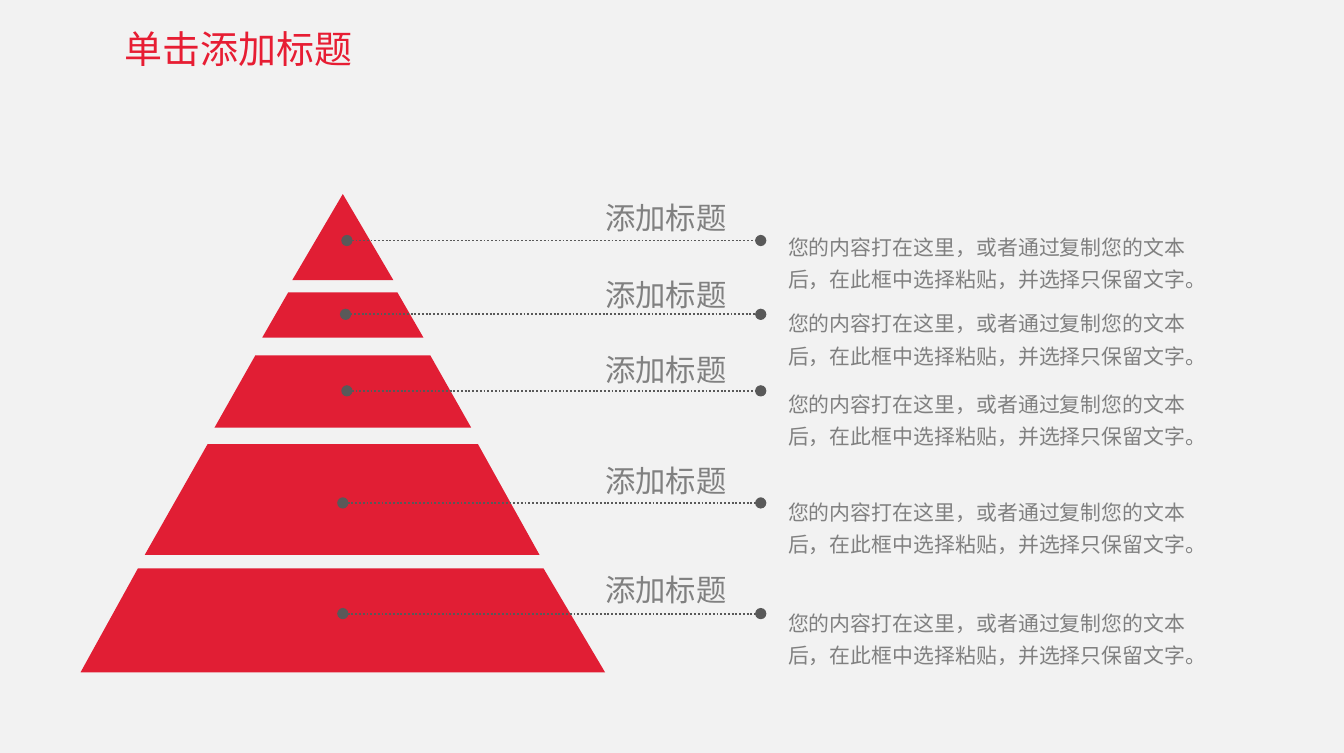
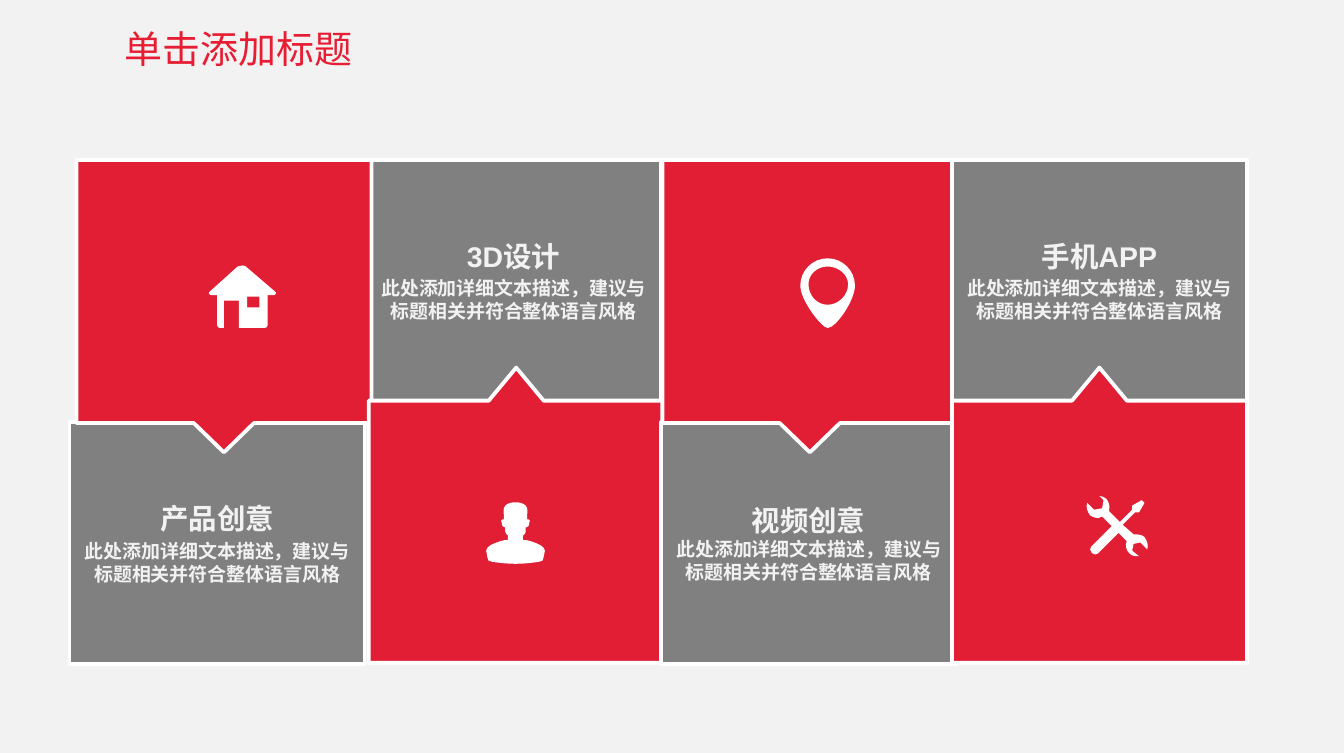
from lxml import etree
from pptx import Presentation
from pptx.dml.color import RGBColor
from pptx.enum import dml, shapes, text
from pptx.oxml.ns import qn
from pptx.util import Inches, Pt

COLORS = {
    "background": "F2F2F2",
    "title": "E71D33",
    "red": "E11E34",
    "gray": "808080",
    "leader": "595959",
    "white": "FFFFFF",
}
CJK = "Noto Sans CJK SC"
TITLE = "单击添加标题"
TIER_LABEL = "添加标题"
TIER_BODY = "您的内容打在这里，或者通过复制您的文本后，在此框中选择粘贴，并选择只保留文字。"
TILE_BODY = "此处添加详细文本描述，建议与标题相关并符合整体语言风格"

APEX = (1.55, 0, 0.74, 0.63)
TIERS = [
    [(1.52, 0.72), (2.32, 0.72), (2.51, 1.05), (1.33, 1.05)],
    [(1.28, 1.18), (2.56, 1.18), (2.86, 1.71), (0.98, 1.71)],
    [(0.93, 1.83), (2.91, 1.83), (3.36, 2.64), (0.47, 2.64)],
    [(0.42, 2.74), (3.39, 2.74), (3.84, 3.5), (0, 3.5)],
]
NOTES = [
    (1.95, 0.34, 0, 0.2),
    (1.94, 0.88, 0.56, 0.76),
    (1.95, 1.44, 1.11, 1.35),
    (1.92, 2.26, 1.92, 2.14),
    (1.92, 3.07, 2.72, 2.95),
]


def with_mirror(half, width):
    mirrored = []
    for before, segment in zip(half[-2::-1], half[:0:-1]):
        pairs = [(segment[i], segment[i + 1]) for i in range(0, len(segment) - 2, 2)]
        pairs = pairs[::-1] + [before[-2:]]
        mirrored.append(tuple(n for x, y in pairs for n in (width - x, y)))
    return half + mirrored


PERSON_HALF = [
    (21.5, 45.5), (27, 45.5, 33, 45, 39, 44), (41, 44, 42, 43, 42, 41),
    (42, 39, 43, 38, 43, 36), (43, 35, 42, 33, 40, 32), (36, 30, 31, 28, 27, 28),
    (27, 25), (28, 24, 29, 23, 29, 22), (29, 19), (31, 18), (32, 14), (31, 13),
    (30, 13), (30, 10), (30, 9, 31, 5, 29, 3), (27, 1, 24, 0.5, 21.5, 0.5),
]
ICONS = {
    "person": [with_mirror(PERSON_HALF, 43)],
    "tools": [[
        (43, 30), (41, 28, 37, 28, 35, 28), (27, 21), (36, 12), (39, 12), (43, 5),
        (41, 3), (34, 7), (34, 10), (25, 19), (17, 11), (18, 8, 17, 4, 15, 2),
        (14, 1, 12, 0, 10, 0), (13, 3), (12, 9), (6, 10), (1, 5),
        (0, 8, 1, 11, 3, 14), (6, 16, 9, 17, 12, 15), (19, 22), (4, 37),
        (3, 38, 3, 40, 4, 41), (5, 42), (6, 43, 8, 43, 9, 42), (24, 27), (30, 33),
        (29, 36, 29, 39, 32, 42), (34, 44, 36, 44, 39, 44), (34, 40), (35, 35),
        (40, 34), (45, 39), (46, 36, 45, 33, 43, 30),
    ]],
    "house": [
        [(49, 19), (28, 1), (27, 0, 24, 0, 22, 1), (2, 19), (0, 20, 1, 22, 3, 22),
         (7, 22), (7, 44), (7, 45, 8, 46, 9, 46), (12, 46), (12, 26), (23, 26),
         (23, 46), (42, 46), (43, 46, 44, 45, 44, 44), (44, 22), (48, 22),
         (50, 22, 51, 20, 49, 19)],
        [(38, 31), (29, 31), (29, 23), (38, 23)],
    ],
    "pin": [
        [(20, 0), (9, 0, 0, 9, 0, 20), (0, 31, 16, 51, 20, 51),
         (26, 51, 40, 31, 40, 20), (40, 9, 31, 0, 20, 0)],
        [(20, 34), (12, 34, 6, 27, 6, 19), (6, 12, 12, 6, 20, 6),
         (28, 6, 35, 12, 35, 19), (35, 27, 28, 34, 20, 34)],
    ],
}


def rgb(name):
    return RGBColor.from_string(COLORS[name])


def style(paragraph, color, font, size=None, bold=False):
    if size:
        paragraph.font.size = Pt(size)
    paragraph.font.bold = bold
    paragraph.font.color.rgb = rgb(color)
    paragraph.font.name = font
    defaults = paragraph._p.pPr.find(qn("a:defRPr"))
    etree.SubElement(defaults, qn("a:ea")).set("typeface", CJK)


def paint(shape, fill, outline=None):
    shape.shadow.inherit = False
    shape.fill.solid()
    shape.fill.fore_color.rgb = rgb(fill)
    if outline:
        shape.line.color.rgb = rgb(outline)
        shape.line.width = Pt(2)
    else:
        shape.line.fill.background()


def bend(shape, contours, unit):
    ends = [segment[-2:] for contour in contours for segment in contour]
    origin = [min(end[axis] for end in ends) for axis in (0, 1)]
    segments = [segment for contour in contours for segment in contour[1:]]
    for line, segment in zip(list(shape.element.iter(qn("a:lnTo"))), segments):
        if len(segment) == 2:
            continue
        curve = etree.Element(qn("a:cubicBezTo"))
        for i in range(0, 6, 2):
            point = etree.SubElement(curve, qn("a:pt"))
            for axis, key in enumerate("xy"):
                point.set(key, str(Inches((segment[i + axis] - origin[axis]) * unit)))
        line.getparent().replace(line, curve)


def add_outline(slide, left, top, contours, fill, unit=1.0):
    builder = None
    for contour in contours:
        start, *rest = [(Inches(s[-2] * unit), Inches(s[-1] * unit)) for s in contour]
        if builder is None:
            builder = slide.shapes.build_freeform(*start)
        else:
            builder.move_to(*start)
        builder.add_line_segments(rest, close=True)
    outline = builder.convert_to_shape(Inches(left), Inches(top))
    bend(outline, contours, unit)
    paint(outline, fill)


def add_text(slide, box, words, size, color, wrap=False):
    holder = slide.shapes.add_textbox(*map(Inches, box))
    frame = holder.text_frame
    frame.margin_left = frame.margin_right = Inches(0.08)
    frame.margin_top = frame.margin_bottom = Inches(0.04)
    frame.word_wrap = wrap
    frame.auto_size = text.MSO_AUTO_SIZE.SHAPE_TO_FIT_TEXT
    paragraph = frame.paragraphs[0]
    paragraph.text = words
    if wrap:
        paragraph.line_spacing = 1.3
    else:
        paragraph.alignment = text.PP_ALIGN.CENTER
    style(paragraph, color, CJK, size)
    return holder


def add_leader(slide, start, end, y):
    leader = slide.shapes.add_connector(
        shapes.MSO_CONNECTOR.STRAIGHT, Inches(start), Inches(y), Inches(end), Inches(y))
    leader.line.color.rgb = rgb("leader")
    leader.line.width = Pt(1)
    leader.line.dash_style = dml.MSO_LINE.ROUND_DOT
    properties = leader.element.spPr
    for tip in ("a:headEnd", "a:tailEnd"):
        etree.SubElement(properties.find(qn("a:ln")), qn(tip)).set("type", "oval")
    etree.SubElement(properties, qn("a:effectLst"))


def add_pyramid(slide, left, top):
    x, y, width, height = APEX
    apex = slide.shapes.add_shape(
        shapes.MSO_SHAPE.ISOSCELES_TRIANGLE,
        *map(Inches, (left + x, top + y, width, height)))
    paint(apex, "red")
    for corners in TIERS:
        add_outline(slide, left, top, [corners], "red")
    for start, leader, label, body in NOTES:
        add_leader(slide, left + start, left + 4.98, top + leader)
        add_text(slide, (left + 5.1, top + body, 3.15, 0.8), TIER_BODY, 11, "gray", True)
        add_text(slide, (left + 3.76, top + label, 1.05, 0.35), TIER_LABEL, 16, "gray")


def add_caption_tile(slide, left, top, heading, one_paragraph=False):
    tile = slide.shapes.add_shape(
        shapes.MSO_SHAPE.RECTANGLE, *map(Inches, (left, top, 2.16, 1.77)))
    paint(tile, "gray", "white")
    frame = tile.text_frame
    frame.word_wrap = True
    frame.vertical_anchor = text.MSO_ANCHOR.MIDDLE
    caption = frame.paragraphs[0]
    title_run = caption.add_run()
    title_run.text = heading
    if one_paragraph:
        caption.add_line_break()
        description = caption
    else:
        description = frame.add_paragraph()
        description.space_before = Pt(2)
    body_run = description.add_run()
    body_run.text = TILE_BODY
    title_run.font.size, body_run.font.size = Pt(15), Pt(10)
    for paragraph in frame.paragraphs:
        paragraph.alignment = text.PP_ALIGN.CENTER
        style(paragraph, "background", "Arial", bold=True)


def add_callout_tile(slide, left, top, points_down):
    if points_down:
        kind, height = shapes.MSO_SHAPE.DOWN_ARROW_CALLOUT, 2.14
        adjustments = (0.236, 0.103, 0.1, 0.9)
    else:
        kind, height = shapes.MSO_SHAPE.UP_ARROW_CALLOUT, 2.16
        adjustments = (0.25, 0.093, 0.112, 0.888)
    tile = slide.shapes.add_shape(kind, *map(Inches, (left, top, 2.16, height)))
    for index, value in enumerate(adjustments):
        tile.adjustments[index] = value
    paint(tile, "red", "white")


def add_tile_grid(slide, left, top):
    caption_low, callout_low = top + 1.92, top + 1.52
    add_caption_tile(slide, left, caption_low, "产品创意")
    add_caption_tile(slide, left + 2.17, top, "3D设计")
    add_callout_tile(slide, left + 0.05, top, True)
    add_callout_tile(slide, left + 2.19, callout_low, False)
    add_caption_tile(slide, left + 4.33, caption_low, "视频创意", True)
    add_callout_tile(slide, left + 4.34, top, True)
    add_caption_tile(slide, left + 6.46, top, "手机APP")
    add_callout_tile(slide, left + 6.46, callout_low, False)
    for icon, x, y in (("person", 3.05, 2.5), ("tools", 7.44, 2.46),
                       ("house", 1.01, 0.77), ("pin", 5.35, 0.72)):
        add_outline(slide, left + x, top + y, ICONS[icon], "white", 0.01)


def main():
    prs = Presentation()
    prs.slide_width, prs.slide_height = Inches(9.84), Inches(5.51)
    backdrop = prs.slide_master.background.fill
    backdrop.solid()
    backdrop.fore_color.rgb = rgb("background")
    blank = prs.slide_layouts[6]
    pyramid, tiles = [prs.slides.add_slide(blank) for _ in range(2)]
    title = add_text(pyramid, (0.83, 0.15, 1.84, 0.41), TITLE, 20, "title")
    blank.shapes.element.append(title.element)
    add_pyramid(pyramid, 0.59, 1.42)
    add_tile_grid(tiles, 0.51, 1.17)
    prs.save("out.pptx")


if __name__ == "__main__":
    main()
